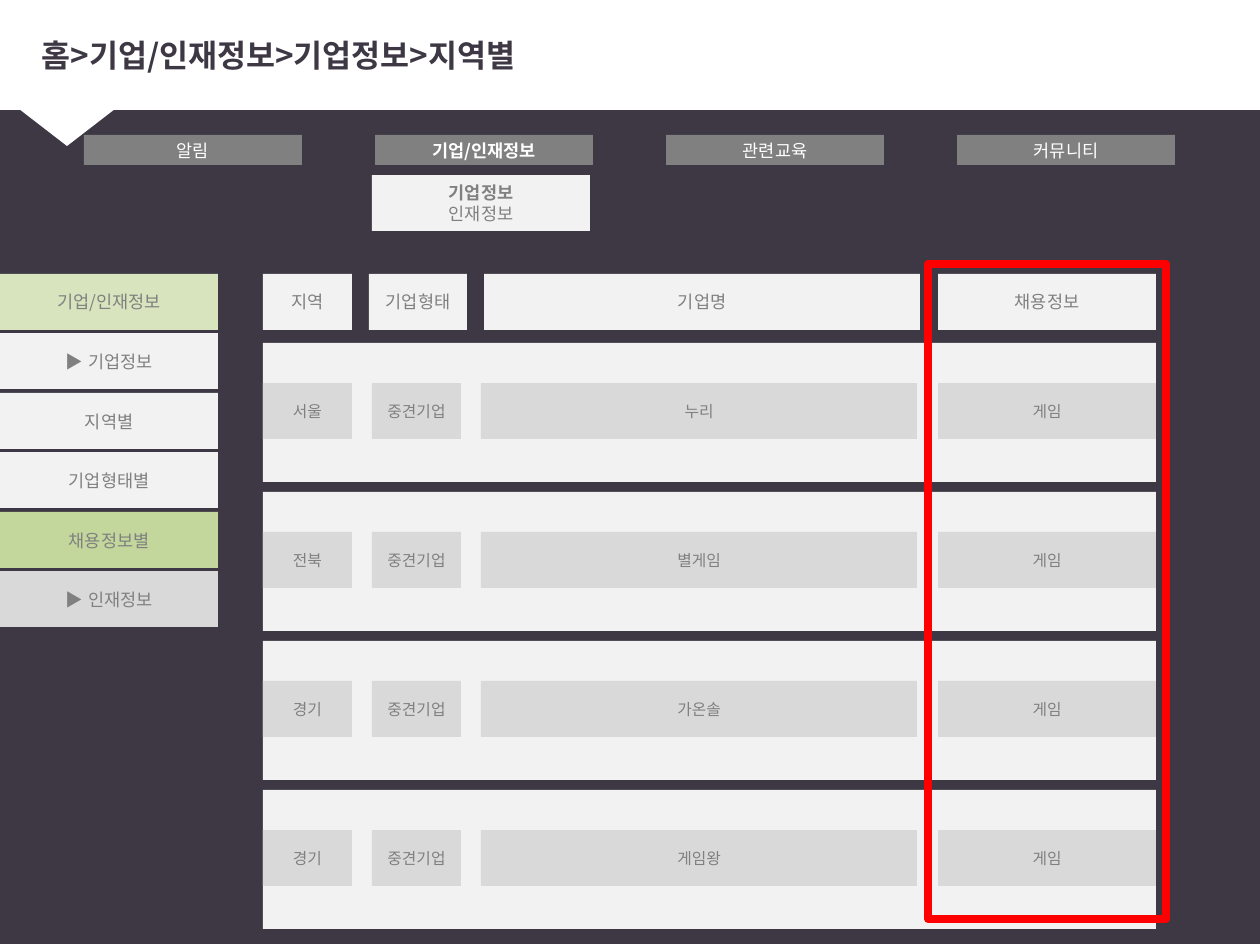
from lxml import etree
from pptx import Presentation
from pptx import util as u
from pptx.dml.color import RGBColor
from pptx.enum import lang, shapes, text
from pptx.oxml.ns import qn

PIXEL = 914400 / 126
FONT = "Noto Sans CJK KR"
COLORS = {
    "dark": "3D3844", "white": "FFFFFF", "gray": "808080", "panel": "F2F2F2",
    "cell": "D9D9D9", "pale_green": "D7E4BD", "green": "C3D69B", "red": "FF0000",
}
NAV = ["알림", "기업/인재정보", "관련교육", "커뮤니티"]
ACTIVE_NAV = "기업/인재정보"
SIDEBAR = [
    ("기업/인재정보", "pale_green"), ("▶ 기업정보", "panel"), ("지역별", "panel"),
    ("기업형태별", "panel"), ("채용정보별", "green"), ("▶ 인재정보", "cell"),
]
# Label, left and width of each header; left and width of the cells below it
COLUMNS = [
    ("지역", 263, 89, 263, 89),
    ("기업형태", 369, 98, 372, 89),
    ("기업명", 484, 436, 481, 436),
    ("채용정보", 938, 218, 938, 218),
]
COMPANIES = [
    ("서울", "중견기업", "누리", "게임"),
    ("전북", "중견기업", "별게임", "게임"),
    ("경기", "중견기업", "가온솔", "게임"),
    ("경기", "중견기업", "게임왕", "게임"),
]


def px(value):
    return u.Emu(round(value * PIXEL))


def color(name):
    return RGBColor.from_string(COLORS[name])


def format_para(para, size, ink, bold=False):
    for span in para.runs:
        font = span.font
        font.name, font.size, font.bold = FONT, u.Pt(size), bold
        font.color.rgb = color(ink)
        font.language_id = lang.MSO_LANGUAGE_ID.KOREAN
        east_asian = etree.Element(qn("a:ea"), typeface=FONT)
        font._element.find(qn("a:latin")).addnext(east_asian)


def add_block(page, left, top, width, height, fill=None, kind=shapes.MSO_SHAPE.RECTANGLE):
    box = page.shapes.add_shape(kind, px(left), px(top), px(width), px(height))
    box.shadow.inherit = False
    box.line.fill.background()
    if fill:
        box.fill.solid()
        box.fill.fore_color.rgb = color(fill)
    else:
        box.fill.background()
    return box


def add_label(page, label, left, top, width, height, fill, size=10, ink="gray", bold_line=None):
    box = add_block(page, left, top, width, height, fill)
    frame = box.text_frame
    frame.text = label
    frame.vertical_anchor = text.MSO_ANCHOR.MIDDLE
    for para in frame.paragraphs:
        para.alignment = text.PP_ALIGN.CENTER
        format_para(para, size, ink, para.text == bold_line)


def add_backdrop(page):
    add_block(page, 0, -1, 1278, 945, "dark")
    add_block(page, -4, -3, 1282, 113, "white")
    pointer = add_block(page, -25, 75, 184, 71, "white", shapes.MSO_SHAPE.ISOSCELES_TRIANGLE)
    pointer.rotation = 180


def add_title(page, label):
    title = page.shapes.title
    title.left, title.top, title.width, title.height = px(29), px(16), px(1217), px(78)
    frame = title.text_frame
    frame.text = label
    frame.vertical_anchor = text.MSO_ANCHOR.MIDDLE
    frame.paragraphs[0].alignment = text.PP_ALIGN.LEFT
    format_para(frame.paragraphs[0], 18, "dark", True)
    # Bring the title in front of the backdrop
    title.element.getparent().append(title.element)


def add_navigation(page):
    for index, label in enumerate(NAV):
        add_label(page, label, 84 + 291 * index, 135, 218, 30, "gray",
                  ink="white", bold_line=ACTIVE_NAV)
    add_label(page, "기업정보\n인재정보", 372, 175, 218, 56, "panel", bold_line="기업정보")


def add_sidebar(page):
    for index, (label, fill) in enumerate(SIDEBAR):
        add_label(page, label, 0, 274 + index * 119 // 2, 218, 56, fill)


def add_company_list(page):
    for label, left, width, _, _ in COLUMNS:
        add_label(page, label, left, 274, width, 56, "panel")
    for index, company in enumerate(COMPANIES):
        top = 343 + 149 * index
        add_block(page, 263, top, 893, 139, "panel")
        for value, (_, _, _, left, width) in zip(company, COLUMNS):
            add_label(page, value, left, top + 40, width, 56, "cell", size=9)


def add_highlight(page):
    frame = add_block(page, 928, 264, 238, 655)
    frame.line.color.rgb = color("red")
    frame.line.width = u.Pt(4.5)


def main():
    deck = Presentation()
    deck.slide_width, deck.slide_height = u.Inches(10), u.Inches(7.5)
    page = deck.slides.add_slide(deck.slide_layouts.get_by_name("Title Only"))
    add_backdrop(page)
    add_title(page, "홈>기업/인재정보>기업정보>지역별")
    add_navigation(page)
    add_sidebar(page)
    add_company_list(page)
    add_highlight(page)
    deck.save("out.pptx")


main()
